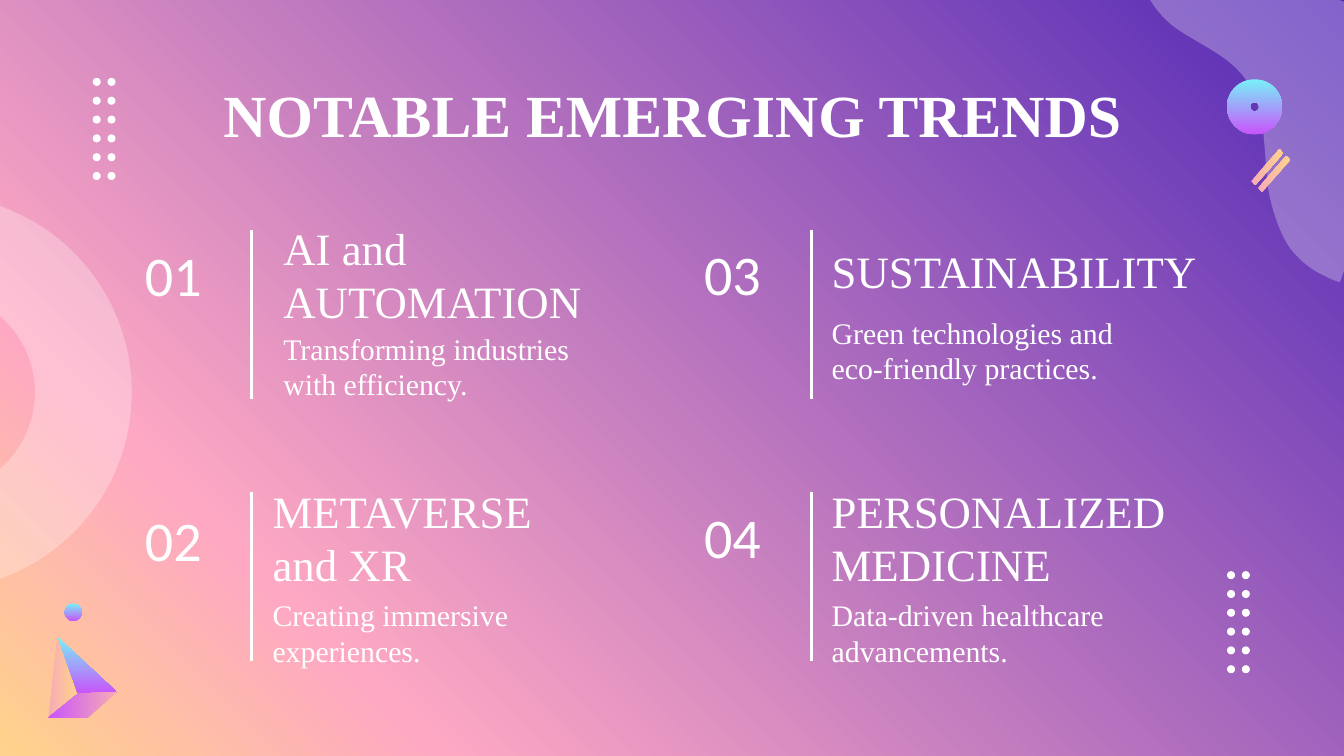
from copy import deepcopy
from dataclasses import dataclass

from pptx import Presentation
from pptx.dml.color import RGBColor
from pptx.enum.shapes import MSO_CONNECTOR, MSO_SHAPE
from pptx.enum.text import MSO_ANCHOR, PP_ALIGN
from pptx.oxml.ns import qn
from pptx.oxml.xmlchemy import OxmlElement
from pptx.util import Inches, Pt


@dataclass(frozen=True)
class Theme:
    white: str = "FFFFFF"
    backdrop: tuple = ((0, "5229B7"), (0.79, "FEA8C3"), (1, "FFD38B"))
    cool: tuple = ((0, "78F0F9"), (1, "C954FA"))
    warm: tuple = ((0, "F7ABB7"), (1, "FFD38B"))
    dusk: tuple = ((0, "F7ABB7"), (1, "C954FA"))
    veil: int = 28
    serif: str = "Times New Roman"
    sans: str = "Calibri"
    title: int = 32
    number: int = 30
    heading: int = 24
    body: int = 16
    rule: float = 1.5


def curve_points(start, curves, steps=10):
    """Sample a chain of cubic curves as a list of points."""
    points = [start]
    for first, second, end in curves:
        origin = points[-1]
        for step in range(1, steps + 1):
            t = step / steps
            u = 1 - t
            points.append(tuple(
                u**3 * a + 3 * u**2 * t * b + 3 * u * t**2 * c + t**3 * d
                for a, b, c, d in zip(origin, first, second, end)))
    return points


class SlideBuilder:
    def __init__(self, slide, theme):
        self.slide = slide
        self.theme = theme

    def gradient(self, fill, element, stops, angle):
        fill.gradient()
        stop_list = element.find(".//" + qn("a:gsLst"))
        for _ in stops[2:]:
            stop_list.append(deepcopy(stop_list[0]))
        for stop, (position, color) in zip(fill.gradient_stops, stops):
            stop.position = position
            stop.color.rgb = RGBColor.from_string(color)
        fill.gradient_angle = (360 - angle) % 360  # clockwise angle

    def background(self, stops, angle):
        self.gradient(self.slide.background.fill, self.slide.element, stops, angle)

    def paint(self, shape, paint, angle=0, opacity=None):
        shape.shadow.inherit = False
        shape.line.fill.background()
        if isinstance(paint, tuple):
            self.gradient(shape.fill, shape.element, paint, angle)
            return
        shape.fill.solid()
        shape.fill.fore_color.rgb = RGBColor.from_string(paint)
        if opacity is not None:
            alpha = OxmlElement("a:alpha")
            alpha.set("val", str(opacity * 1000))
            shape.element.spPr.find(".//" + qn("a:srgbClr")).append(alpha)

    def round(self, left, top, size, paint, angle=0, opacity=None, band=None, group=None):
        """Draw a disc, or a ring when the band width is given."""
        kind = MSO_SHAPE.OVAL if band is None else MSO_SHAPE.DONUT
        shape = (group or self.slide).shapes.add_shape(
            kind, Inches(left), Inches(top), Inches(size), Inches(size))
        if band is not None:
            shape.adjustments[0] = band / size
        self.paint(shape, paint, angle, opacity)

    def outline(self, points, paint, angle=0, opacity=None, group=None):
        corners = [(Inches(x), Inches(y)) for x, y in points]
        builder = (group or self.slide).shapes.build_freeform(*corners[0])
        builder.add_line_segments(corners[1:], close=True)
        self.paint(builder.convert_to_shape(), paint, angle, opacity)

    def dot_grid(self, left, top):
        group = self.slide.shapes.add_group_shape()
        for column in range(2):
            for row in range(6):
                self.round(left + 0.11 * column, top + 0.14 * row, 0.06,
                           self.theme.white, group=group)

    def text(self, text, left, top, width, height, size, font=None,
             bold=False, align=PP_ALIGN.LEFT):
        box = self.slide.shapes.add_textbox(
            Inches(left), Inches(top), Inches(width), Inches(height))
        frame = box.text_frame
        frame.word_wrap = True
        frame.vertical_anchor = MSO_ANCHOR.MIDDLE
        frame.margin_left = frame.margin_right = Inches(0.1)
        frame.margin_top = frame.margin_bottom = Inches(0.1)
        frame.text = text
        paragraph = frame.paragraphs[0]
        paragraph.alignment = align
        run_font = paragraph.runs[0].font
        run_font.name = font or self.theme.serif
        run_font.size = Pt(size)
        run_font.bold = bold
        run_font.color.rgb = RGBColor.from_string(self.theme.white)

    def rule(self, x, top, length):
        connector = self.slide.shapes.add_connector(
            MSO_CONNECTOR.STRAIGHT, Inches(x), Inches(top), Inches(x), Inches(top + length))
        connector.line.color.rgb = RGBColor.from_string(self.theme.white)
        connector.line.width = Pt(self.theme.rule)
        connector.element.spPr.append(OxmlElement("a:effectLst"))


def main():
    presentation = Presentation()
    presentation.slide_width = Inches(10)
    presentation.slide_height = Inches(10) * 9 // 16  # widescreen
    slide = presentation.slides.add_slide(presentation.slide_layouts[6])
    theme = Theme()
    builder = SlideBuilder(slide, theme)

    # Backdrop with pale ring and corner wave
    builder.background(theme.backdrop, 135)
    builder.round(-1.96, 1.45, 2.94, theme.white, opacity=theme.veil, band=0.72)
    wave = curve_points((8.46, -0.52), [
        ((8.41, -0.27), (8.51, 0.01), (8.71, 0.18)),
        ((8.9, 0.33), (9.15, 0.4), (9.29, 0.62)),
        ((9.43, 0.86), (9.4, 1.16), (9.44, 1.43)),
        ((9.47, 1.57), (9.51, 1.7), (9.58, 1.82)),
        ((9.65, 1.92), (9.74, 2), (9.85, 2.05)),
        ((9.89, 2.07), (9.93, 2.09), (9.97, 2.1)),
    ])
    builder.outline(wave + [(10.63, 0.23)], theme.white, opacity=theme.veil)

    # Title
    builder.text("NOTABLE EMERGING TRENDS", 0.79, 0.58, 8.43, 0.53, theme.title,
                 bold=True, align=PP_ALIGN.CENTER)

    # Trends: number, its left and top; heading, its box; body text and its top
    trends = [
        ("01", 0.98, 1.75, "AI and AUTOMATION", (2.01, 1.74, 2.84, 0.6),
         "Transforming industries with efficiency.", 2.46),
        ("02", 0.98, 3.72, "METAVERSE and XR", (1.93, 3.69, 2.56, 0.61),
         "Creating immersive experiences.", 4.44),
        ("03", 5.14, 1.74, "SUSTAINABILITY", (6.09, 1.71, 3.03, 0.6),
         "Green technologies and eco-friendly practices.", 2.34),
        ("04", 5.14, 3.7, "PERSONALIZED MEDICINE", (6.09, 3.69, 2.93, 0.61),
         "Data-driven healthcare advancements.", 4.44),
    ]
    for number, left, top, heading, heading_box, body, body_top in trends:
        builder.text(heading, *heading_box, theme.heading)
        builder.text(number, left, top, 0.89, 0.58, theme.number, theme.sans)
        builder.text(body, heading_box[0], body_top, 2.56, 0.53, theme.body)

    # Vertical rules
    for rule_top in (1.71, 3.66):
        for rule_x in (1.87, 6.04):
            builder.rule(rule_x, rule_top, 1.26)

    # Dot grids
    builder.dot_grid(9.13, 4.25)
    builder.dot_grid(0.69, 0.58)

    # Pyramid
    pyramid = slide.shapes.add_group_shape()
    apex, centre, right = (0.43, 4.74), (0.58, 5.16), (0.87, 5.15)
    front_left, front_right = (0.36, 5.34), (0.65, 5.34)
    builder.outline([front_left, centre, apex], theme.warm, group=pyramid)
    builder.outline([apex, centre, right], theme.cool, 90, group=pyramid)
    builder.outline([right, centre, front_left, front_right], theme.dusk, 180, group=pyramid)

    # Small ring, ball and slanted bars
    builder.round(9.13, 0.59, 0.41, theme.cool, 90, band=0.17)
    builder.round(0.48, 4.49, 0.13, theme.cool, 90)
    bar = [(9.31, 1.35), (9.52, 1.11), (9.55, 1.14), (9.34, 1.38)]
    for shift in (0, 0.05):
        builder.outline([(x + shift, y + shift) for x, y in bar], theme.warm)

    presentation.save("out.pptx")


if __name__ == "__main__":
    main()
